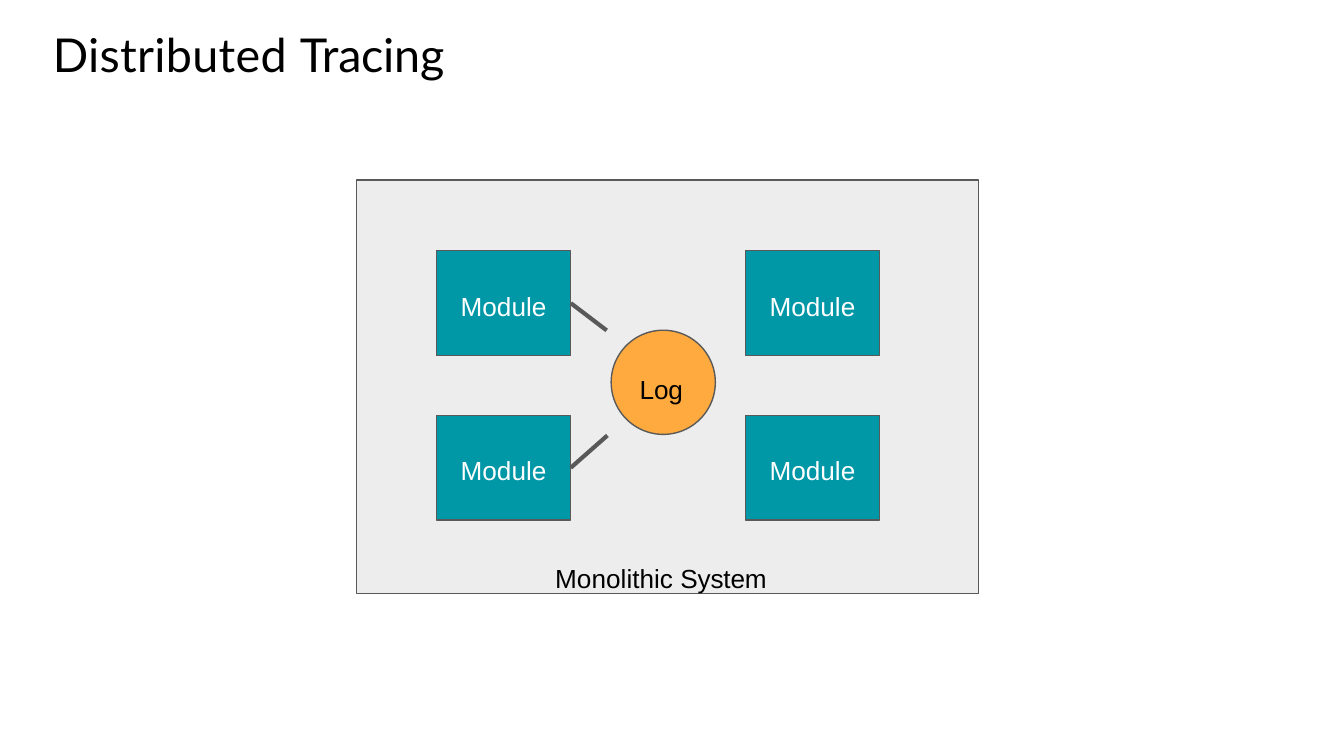
import pptx
import pptx.util
import pptx.dml.color
import pptx.enum.shapes
import pptx.enum.text

Pt = pptx.util.Pt
Kind = pptx.enum.shapes.MSO_SHAPE
Anchor = pptx.enum.text.MSO_ANCHOR
Align = pptx.enum.text.PP_ALIGN

COLORS = {
    "ink": "000000",
    "white": "FFFFFF",
    "line": "595959",
    "panel": "EDEDED",
    "teal": "0097A7",
    "orange": "FFAA3F",
}

# Runs are (text, letter spacing in hundredths of a point).
TITLE = [("Distributed ", 20), ("Tracing", -10)]
SYSTEM = [("Monolithic ", 0), ("System", -10)]
LOG = [("Log", -10)]
MODULE = [("Module", 0)]

# Boxes are (left, top, width, height).
TITLE_BOX = (27.4, 12.2, 214.6, 32.4)
SYSTEM_BOX = (190.9, 96.5, 333.4, 221.6)
LOG_BOX = (327.4, 176.9, 55.8, 55.8)
GRID_LEFT, GRID_TOP = 233.8, 134.4
STEP_X, STEP_Y = 165.5, 88.2
MODULE_W, MODULE_H = 72, 56
LINK_ENDS = [(325, 177), (325.4, 233.3)]


def color(name):
    return pptx.dml.color.RGBColor.from_string(COLORS[name])


def write(shape, runs, size, font, ink, anchor, align, top=0, right=0, left=0):
    frame = shape.text_frame
    frame.word_wrap = True
    frame.vertical_anchor = anchor
    frame.margin_left, frame.margin_right = Pt(left), Pt(right)
    frame.margin_top, frame.margin_bottom = Pt(top), 0
    para = frame.paragraphs[0]
    para.alignment = align
    for text, gap in runs:
        run = para.add_run()
        run.text = text
        run.font.size = Pt(size)
        run.font.name = font
        run.font.color.rgb = color(ink)
        run.font._element.set("spc", str(gap))


def block(slide, kind, box, fill):
    shape = slide.shapes.add_shape(kind, *map(Pt, box))
    shape.shadow.inherit = False
    shape.fill.solid()
    shape.fill.fore_color.rgb = color(fill)
    shape.line.color.rgb = color("line")
    shape.line.width = Pt(0.75)
    return shape


def link(slide, module, end):
    """Draw a line from the right side of a module to a point."""
    x, y = map(Pt, end)
    line = slide.shapes.add_connector(
        pptx.enum.shapes.MSO_CONNECTOR.STRAIGHT, x, y, x, y)
    line.begin_connect(module, 3)
    line.line.color.rgb = color("line")
    line.line.width = Pt(2.25)
    line._element.spPr.append(pptx.oxml.parse_xml(
        '<a:effectLst xmlns:a='
        '"http://schemas.openxmlformats.org/drawingml/2006/main"/>'))


def main():
    deck = pptx.Presentation()
    deck.slide_width, deck.slide_height = Pt(720), Pt(405)
    slide = deck.slides.add_slide(deck.slide_layouts[6])

    title = slide.shapes.add_textbox(*map(Pt, TITLE_BOX))
    write(title, TITLE, 25, "Lato", "ink", Anchor.TOP, Align.LEFT,
          top=1.4, left=0.9)

    system = block(slide, Kind.RECTANGLE, SYSTEM_BOX, "panel")
    write(system, SYSTEM, 14, "Arial", "ink", Anchor.BOTTOM, Align.CENTER,
          right=7)

    for col in range(2):
        for row in range(2):
            box = (GRID_LEFT + col * STEP_X, GRID_TOP + row * STEP_Y,
                   MODULE_W, MODULE_H)
            module = block(slide, Kind.RECTANGLE, box, "teal")
            write(module, MODULE, 14, "Arial", "white", Anchor.MIDDLE,
                  Align.CENTER, top=2.7)
            if col == 0:
                link(slide, module, LINK_ENDS[row])

    log = block(slide, Kind.OVAL, LOG_BOX, "orange")
    write(log, LOG, 14, "Arial", "ink", Anchor.MIDDLE, Align.CENTER,
          top=7, right=2)

    deck.save("out.pptx")


if __name__ == "__main__":
    main()
